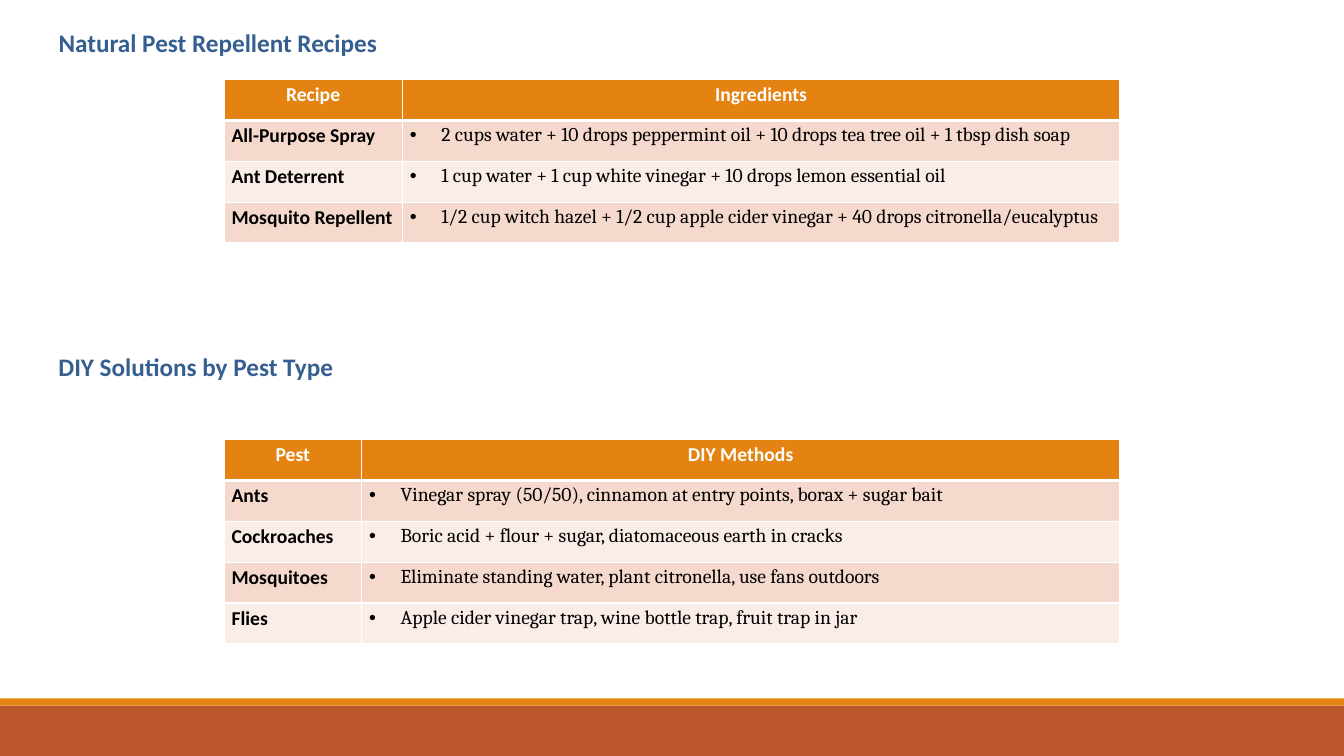
from dataclasses import dataclass

from lxml.etree import SubElement
from pptx import Presentation
from pptx.dml.color import RGBColor
from pptx.enum.shapes import MSO_SHAPE
from pptx.enum.text import MSO_ANCHOR, MSO_AUTO_SIZE, PP_ALIGN
from pptx.oxml.ns import qn
from pptx.util import Pt

WHITE = RGBColor(0xFF, 0xFF, 0xFF)
BLACK = RGBColor(0x00, 0x00, 0x00)
BLUE = RGBColor(0x36, 0x5F, 0x91)
ORANGE = RGBColor(0xE4, 0x83, 0x12)
RUST = RGBColor(0xBD, 0x58, 0x2C)
BANDS = (RGBColor(0xF5, 0xD9, 0xCC), RGBColor(0xFA, 0xED, 0xE7))

SLIDE_WIDTH, SLIDE_HEIGHT = 960, 540
HEADING_LEFT, HEADING_HEIGHT = 34.6, 32.4
TABLE_LEFT, TABLE_WIDTH, ROW_HEIGHT = 160, 640, 29.2
CELL_INSET, BULLET_INDENT = 5.4, 22.5


@dataclass
class Heading:
    text: str
    top: float
    width: float


@dataclass
class Guide:
    top: float
    label_width: float
    header: tuple[str, str]
    rows: list[tuple[str, str]]


@dataclass
class Bar:
    top: float
    height: float
    color: RGBColor


BARS = [Bar(504, 36, RUST), Bar(498.8, 5.2, ORANGE)]
TITLE = Heading("Natural Pest Repellent Recipes", 13, 245.5)
SUBTITLE = Heading("DIY Solutions by Pest Type", 244, 214)
RECIPES = Guide(56.8, 127.4, ("Recipe", "Ingredients"), [
    ("All-Purpose Spray", "2 cups water + 10 drops peppermint oil + 10 drops tea tree oil + 1 tbsp dish soap"),
    ("Ant Deterrent", "1 cup water + 1 cup white vinegar + 10 drops lemon essential oil"),
    ("Mosquito Repellent", "1/2 cup witch hazel + 1/2 cup apple cider vinegar + 40 drops citronella/eucalyptus"),
])
METHODS = Guide(314, 98.3, ("Pest", "DIY Methods"), [
    ("Ants", "Vinegar spray (50/50), cinnamon at entry points, borax + sugar bait"),
    ("Cockroaches", "Boric acid + flour + sugar, diatomaceous earth in cracks"),
    ("Mosquitoes", "Eliminate standing water, plant citronella, use fans outdoors"),
    ("Flies", "Apple cider vinegar trap, wine bottle trap, fruit trap in jar"),
])


def add_span(para, text: str, size: float, color: RGBColor, font: str = "Calibri", bold: bool = True) -> None:
    para.line_spacing = 1.15
    span = para.add_run()
    span.text = text
    span.font.name = font
    span.font.size = Pt(size)
    span.font.bold = bold
    span.font.color.rgb = color


def draw_bar(page, bar: Bar) -> None:
    shape = page.shapes.add_shape(MSO_SHAPE.RECTANGLE, 0, Pt(bar.top), Pt(SLIDE_WIDTH), Pt(bar.height))
    shape.shadow.inherit = False
    shape.fill.solid()
    shape.fill.fore_color.rgb = bar.color
    shape.line.fill.background()


def fill_heading(box, heading: Heading) -> None:
    box.left, box.top = Pt(HEADING_LEFT), Pt(heading.top)
    box.width, box.height = Pt(heading.width), Pt(HEADING_HEIGHT)
    frame = box.text_frame
    frame.word_wrap = False
    frame.auto_size = MSO_AUTO_SIZE.SHAPE_TO_FIT_TEXT
    frame.vertical_anchor = MSO_ANCHOR.TOP
    para = frame.paragraphs[0]
    para.alignment = PP_ALIGN.LEFT
    para.space_before = Pt(24)
    add_span(para, heading.text, 18, BLUE)


def add_borders(cell, bottom: float) -> None:
    properties = cell._tc.get_or_add_tcPr()
    for side, width in (("L", 1), ("R", 1), ("T", 1), ("B", bottom)):
        line = SubElement(properties, qn(f"a:ln{side}"), w=str(Pt(width)))
        fill = SubElement(line, qn("a:solidFill"))
        SubElement(fill, qn("a:srgbClr"), val=str(WHITE))


def add_bullet(para) -> None:
    properties = para._p.get_or_add_pPr()
    properties.set("marL", str(Pt(BULLET_INDENT)))
    properties.set("indent", str(-Pt(BULLET_INDENT)))
    SubElement(properties, qn("a:buFont"), typeface="Arial")
    SubElement(properties, qn("a:buChar"), char="•")


def format_cell(cell, color: RGBColor, bottom: float = 1) -> None:
    add_borders(cell, bottom)
    cell.fill.solid()
    cell.fill.fore_color.rgb = color
    cell.margin_left = cell.margin_right = Pt(CELL_INSET)
    cell.margin_top = cell.margin_bottom = 0


def draw_guide(page, guide: Guide) -> None:
    count = len(guide.rows) + 1
    table = page.shapes.add_table(count, 2, Pt(TABLE_LEFT), Pt(guide.top),
                                  Pt(TABLE_WIDTH), Pt(ROW_HEIGHT * count)).table
    table.columns[0].width = Pt(guide.label_width)
    table.columns[1].width = Pt(TABLE_WIDTH - guide.label_width)
    for row in table.rows:
        row.height = Pt(ROW_HEIGHT)

    # Header row
    for column, text in enumerate(guide.header):
        cell = table.cell(0, column)
        format_cell(cell, ORANGE, bottom=3)
        para = cell.text_frame.paragraphs[0]
        para.alignment = PP_ALIGN.CENTER
        add_span(para, text, 14, WHITE)

    # Banded rows: bold label, bulleted detail
    for index, (label, detail) in enumerate(guide.rows):
        label_cell, detail_cell = table.cell(index + 1, 0), table.cell(index + 1, 1)
        for cell in (label_cell, detail_cell):
            format_cell(cell, BANDS[index % 2], bottom=1)
        add_span(label_cell.text_frame.paragraphs[0], label, 14, BLACK)
        para = detail_cell.text_frame.paragraphs[0]
        add_span(para, detail, 14, BLACK, "Cambria", bold=False)
        add_bullet(para)


def main() -> None:
    deck = Presentation()
    deck.slide_width, deck.slide_height = Pt(SLIDE_WIDTH), Pt(SLIDE_HEIGHT)
    page = deck.slides.add_slide(deck.slide_layouts[5])

    # Footer bars
    for bar in BARS:
        draw_bar(page, bar)

    # Recipes
    fill_heading(page.shapes.title, TITLE)
    draw_guide(page, RECIPES)

    # Solutions by pest
    fill_heading(page.shapes.add_textbox(0, 0, 0, 0), SUBTITLE)
    draw_guide(page, METHODS)

    deck.save("out.pptx")


if __name__ == "__main__":
    main()
